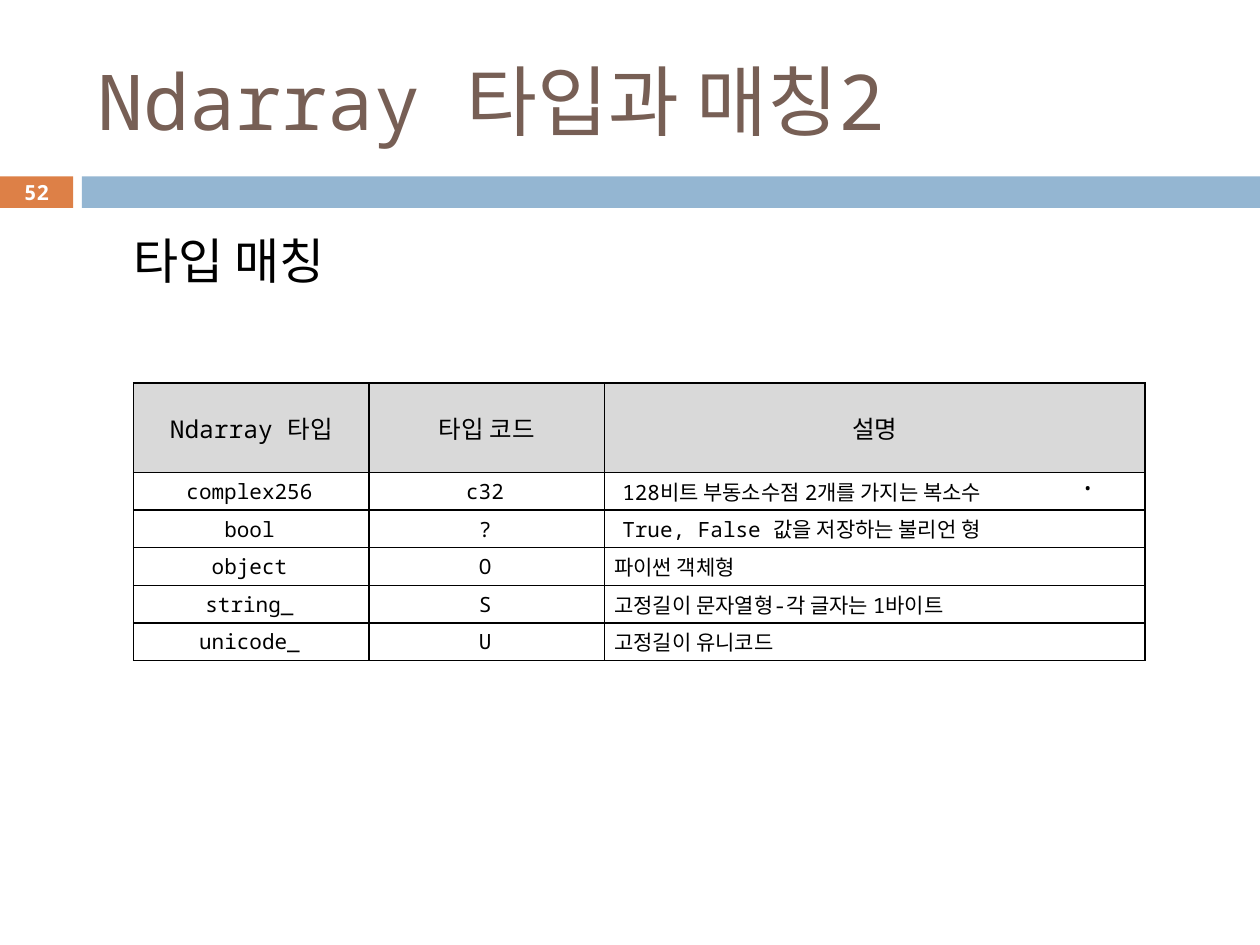
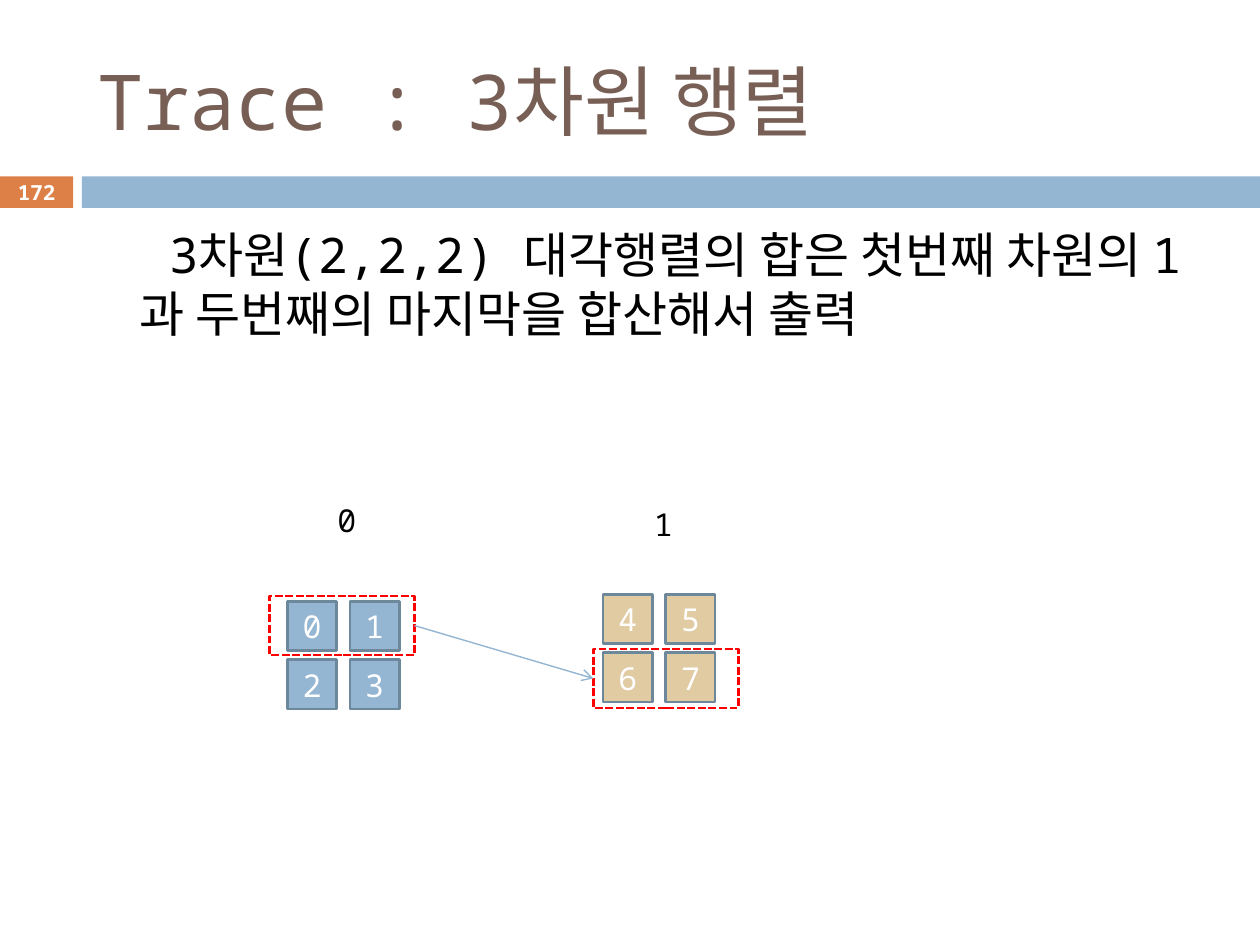
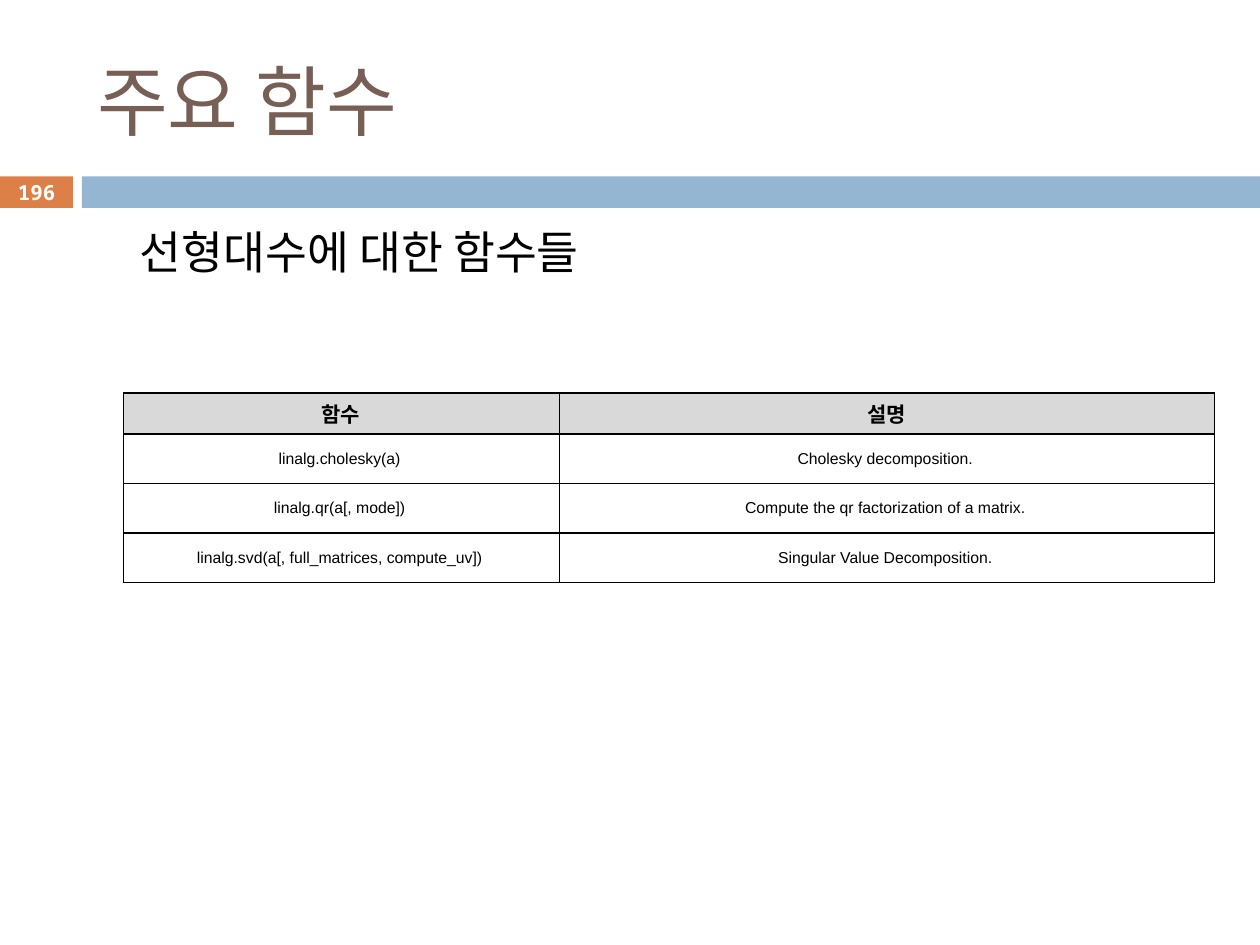
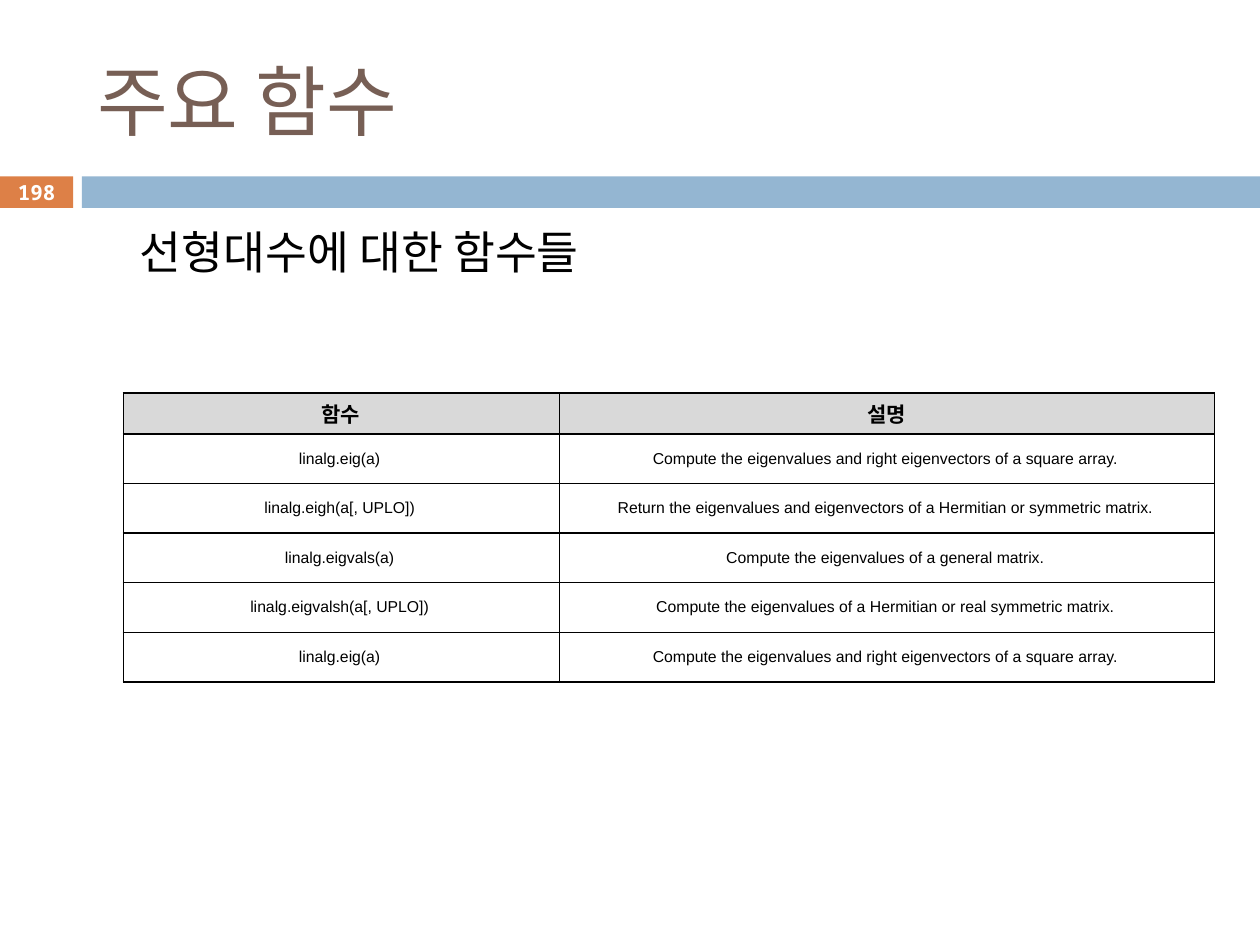
from lxml.etree import SubElement
from pptx import Presentation
from pptx.dml.color import RGBColor
from pptx.enum.dml import MSO_LINE
from pptx.enum.shapes import MSO_CONNECTOR, MSO_SHAPE
from pptx.enum.text import MSO_ANCHOR as Anchor, MSO_AUTO_SIZE as AutoSize, PP_ALIGN as Align
from pptx.oxml.ns import qn
from pptx.util import Pt

BLACK = RGBColor(0x00, 0x00, 0x00)
WHITE = RGBColor(0xFF, 0xFF, 0xFF)
BROWN = RGBColor(0x77, 0x5F, 0x55)
ORANGE = RGBColor(0xDD, 0x80, 0x47)
BLUE = RGBColor(0x94, 0xB6, 0xD2)
SAND = RGBColor(0xE0, 0xCB, 0xA3)
SLATE = RGBColor(0x6D, 0x87, 0x9B)
GREY = RGBColor(0xD9, 0xD9, 0xD9)
RED = RGBColor(0xFF, 0x00, 0x00)
MONO, SANS = "Noto Sans Mono", "Arial"

# Areas are left, top, width, height in points.
SLIDE_SIZE = 720, 540
TITLE_AREA = 48.24, 18, 642.24, 77.76
NUMBER_AREA = 0, 100, 41.76, 19.5
BANDS = [((0, 100.8, 41.76, 18), ORANGE), ((46.8, 100.8, 673.2, 18), BLUE)]

TYPE_TABLE = {
    "left": 76.32, "top": 218.88, "widths": (134.64, 134.64, 308.88),
    "header_height": 51.1, "row_height": 21.5,
    "header": {"font": {"name": MONO, "size": Pt(14), "bold": False}, "insets": (2.88, 1.44, 2.88, 1.44)},
    "body": {"font": {"name": MONO, "size": Pt(12), "bold": False}, "insets": (2.88, 0.72, 5.04, 0.72)},
    "aligns": (Align.CENTER, Align.CENTER, Align.LEFT),
}
FUNCTION_TABLE = {
    "left": 70.56, "top": 224.64, "widths": (249.12, 374.4),
    "header_height": 23.3, "row_height": 28.35,
    "header": {"font": {"name": SANS, "size": Pt(12), "bold": True}, "insets": (1.44, 0, 2.16, 0)},
    "body": {"font": {"name": SANS, "size": Pt(9), "bold": False}, "insets": (2.88, 0.72, 5.04, 0.72)},
    "aligns": (Align.CENTER, Align.CENTER),
}
FUNCTION_HEADER = ("함수", "설명")
FUNCTION_INTRO = {"text": "선형대수에 대한 함수들", "area": (36.72, 124.56, 648, 105.84),
                  "size": 26, "margin": 36, "first": 0}

SLIDES = [
    {
        "number": "52",
        "title": "Ndarray 타입과 매칭2",
        "intro": {"text": "타입 매칭", "area": (36, 128.16, 648, 67.68),
                  "size": 28, "margin": 33, "first": 0},
        "table": TYPE_TABLE,
        "rows": [
            ("Ndarray 타입", "타입 코드", "설명"),
            ("complex256", "c32", " 128비트 부동소수점 2개를 가지는 복소수"),
            ("bool", "?", " True, False 값을 저장하는 불리언 형"),
            ("object", "O", " 파이썬 객체형"),
            ("string_", "S", " 고정길이 문자열형-각 글자는 1바이트"),
            ("unicode_", "U", " 고정길이 유니코드"),
        ],
        "labels": [(".", (609.12, 258.48, 141.84, 28.8))],
    },
    {
        "number": "172",
        "title": "Trace : 3차원 행렬",
        "intro": {"text": "3차원(2,2,2) 대각행렬의 합은 첫번째 차원의 1과 두번째의 마지막을 합산해서 출력",
                  "area": (36.72, 124.56, 648, 66.24), "size": 28, "margin": 36, "first": 17},
        "labels": [("0", (185.76, 282.96, 28.08, 28.8)), ("1", (366.48, 285.12, 28.08, 28.8))],
        "matrices": [
            {"corner": (164.2, 343.6), "fill": BLUE, "values": (("0", "1"), ("2", "3"))},
            {"corner": (344.7, 339.6), "fill": SAND, "values": (("4", "5"), ("6", "7"))},
        ],
        "highlights": [(154.08, 340.56, 82.8, 33.84), (339.12, 370.8, 82.8, 33.84)],
    },
    {
        "number": "196",
        "title": "주요 함수",
        "intro": FUNCTION_INTRO,
        "table": FUNCTION_TABLE,
        "rows": [
            FUNCTION_HEADER,
            ("linalg.cholesky(a)", "Cholesky decomposition."),
            ("linalg.qr(a[, mode])", "Compute the qr factorization of a matrix."),
            ("linalg.svd(a[, full_matrices, compute_uv])", "Singular Value Decomposition."),
        ],
    },
    {
        "number": "198",
        "title": "주요 함수",
        "intro": FUNCTION_INTRO,
        "table": FUNCTION_TABLE,
        "rows": [
            FUNCTION_HEADER,
            ("linalg.eig(a)", "Compute the eigenvalues and right eigenvectors of a square array."),
            ("linalg.eigh(a[, UPLO])",
             "Return the eigenvalues and eigenvectors of a Hermitian or symmetric matrix."),
            ("linalg.eigvals(a)", "Compute the eigenvalues of a general matrix."),
            ("linalg.eigvalsh(a[, UPLO])",
             "Compute the eigenvalues of a Hermitian or real symmetric matrix."),
            ("linalg.eig(a)", "Compute the eigenvalues and right eigenvectors of a square array."),
        ],
    },
]

CELL_SIZE, COLUMN_STEP, ROW_STEP = 28.3, 35.75, 33.4


def points(values):
    return [Pt(value) for value in values]


def set_values(target, values):
    for name, value in values.items():
        setattr(target, name, value)


def write(frame, text, color, align=Align.LEFT, **font):
    paragraph = frame.paragraphs[0]
    paragraph.alignment = align
    paragraph.space_before = Pt(0)
    run = paragraph.add_run()
    run.text = text
    set_values(run.font, {"name": MONO, **font})
    run.font.color.rgb = color
    return paragraph


def set_insets(target, insets):
    sides = ("margin_left", "margin_top", "margin_right", "margin_bottom")
    set_values(target, dict(zip(sides, points(insets))))


def place(shape, area):
    set_values(shape, dict(zip(("left", "top", "width", "height"), points(area))))


def add_box(slide, area, fill=None, line=None, width=1.5):
    box = slide.shapes.add_shape(MSO_SHAPE.RECTANGLE, *points(area))
    box.shadow.inherit = False
    if fill is None:
        box.fill.background()
    else:
        box.fill.solid()
        box.fill.fore_color.rgb = fill
    if line is None:
        box.line.fill.background()
    else:
        box.line.color.rgb = line
        box.line.width = Pt(width)
    return box


def add_label(slide, text, area):
    frame = slide.shapes.add_textbox(*points(area)).text_frame
    frame.word_wrap = True
    write(frame, text, BLACK, size=Pt(18))


def add_heading(slide, content):
    title = slide.shapes.title
    place(title, TITLE_AREA)
    set_values(title.text_frame, {"auto_size": AutoSize.NONE, "vertical_anchor": Anchor.MIDDLE})
    write(title.text_frame, content["title"], BROWN, size=Pt(44))

    number = slide.shapes.add_textbox(*points(NUMBER_AREA)).text_frame
    set_values(number, {"word_wrap": True, "vertical_anchor": Anchor.MIDDLE})
    set_insets(number, (0, 0, 0, 0))
    write(number, content["number"], WHITE, Align.CENTER, size=Pt(11.9), bold=True)


def add_intro(slide, intro):
    body = slide.placeholders[1]
    place(body, intro["area"])
    body.text_frame.auto_size = AutoSize.NONE
    paragraph = body.text_frame.paragraphs[0]
    paragraph.level = 1
    properties = paragraph._p.get_or_add_pPr()
    properties.set("marL", str(Pt(intro["margin"])))
    properties.set("indent", str(Pt(intro["first"])))
    SubElement(properties, qn("a:buNone"))
    write(body.text_frame, intro["text"], BLACK, size=Pt(intro["size"]))


def add_borders(cell):
    properties = cell._tc.get_or_add_tcPr()
    for side in ("a:lnL", "a:lnR", "a:lnT", "a:lnB"):
        border = SubElement(properties, qn(side), w=str(Pt(1)))
        SubElement(SubElement(border, qn("a:solidFill")), qn("a:srgbClr"), val=str(BLACK))


def add_grid(slide, layout, rows):
    heights = [layout["header_height"]] + [layout["row_height"]] * (len(rows) - 1)
    area = layout["left"], layout["top"], sum(layout["widths"]), sum(heights)
    table = slide.shapes.add_table(len(rows), len(layout["widths"]), *points(area)).table
    set_values(table, {"first_row": False, "horz_banding": False})
    for column, width in zip(table.columns, layout["widths"]):
        column.width = Pt(width)
    for r, (row, height) in enumerate(zip(rows, heights)):
        table.rows[r].height = Pt(height)
        style = layout["body" if r else "header"]
        for c, text in enumerate(row):
            cell = table.cell(r, c)
            add_borders(cell)
            cell.fill.solid()
            cell.fill.fore_color.rgb = WHITE if r else GREY
            cell.vertical_anchor = Anchor.MIDDLE
            set_insets(cell, style["insets"])
            align = layout["aligns"][c] if r else Align.CENTER
            write(cell.text_frame, text, BLACK, align, **style["font"])


def add_matrix(slide, matrix):
    left, top = matrix["corner"]
    for r, row in enumerate(matrix["values"]):
        for c, value in enumerate(row):
            area = left + c * COLUMN_STEP, top + r * ROW_STEP, CELL_SIZE, CELL_SIZE
            frame = add_box(slide, area, matrix["fill"], SLATE).text_frame
            frame.vertical_anchor = Anchor.MIDDLE
            set_insets(frame, (0, 0, 0, 0))
            write(frame, value, WHITE, Align.CENTER, size=Pt(18))


def add_highlights(slide, areas):
    """Outline two areas and point from the first to the second."""
    first, second = [add_box(slide, area, line=RED) for area in areas]
    for outline in (first, second):
        outline.line.dash_style = MSO_LINE.SQUARE_DOT
    arrow = slide.shapes.add_connector(
        MSO_CONNECTOR.STRAIGHT,
        first.left + first.width, first.top + first.height // 2,
        second.left, second.top + second.height // 2)
    arrow.line.color.rgb = BLUE
    arrow.line.width = Pt(0.79)
    SubElement(arrow.line._get_or_add_ln(), qn("a:tailEnd"), type="arrow")
    SubElement(arrow._element.spPr, qn("a:effectLst"))


def move_bands_to_layout(layout, slide):
    """Draw the bands on the slide, then hand them to the layout that all slides share."""
    for placeholder in list(layout.placeholders):
        if placeholder.placeholder_format.idx > 1:
            layout.shapes.element.remove(placeholder.element)
    bands = [add_box(slide, area, fill) for area, fill in BANDS]
    for band in bands:
        layout.shapes.element.insert(2, band.element)


def main():
    deck = Presentation()
    deck.slide_width, deck.slide_height = points(SLIDE_SIZE)
    layout = deck.slide_layouts[1]
    slides = [deck.slides.add_slide(layout) for _ in SLIDES]
    move_bands_to_layout(layout, slides[0])
    for slide, content in zip(slides, SLIDES):
        add_heading(slide, content)
        add_intro(slide, content["intro"])
        if "table" in content:
            add_grid(slide, content["table"], content["rows"])
        for matrix in content.get("matrices", []):
            add_matrix(slide, matrix)
        for text, area in content.get("labels", []):
            add_label(slide, text, area)
        if "highlights" in content:
            add_highlights(slide, content["highlights"])
    deck.save("out.pptx")


if __name__ == "__main__":
    main()
